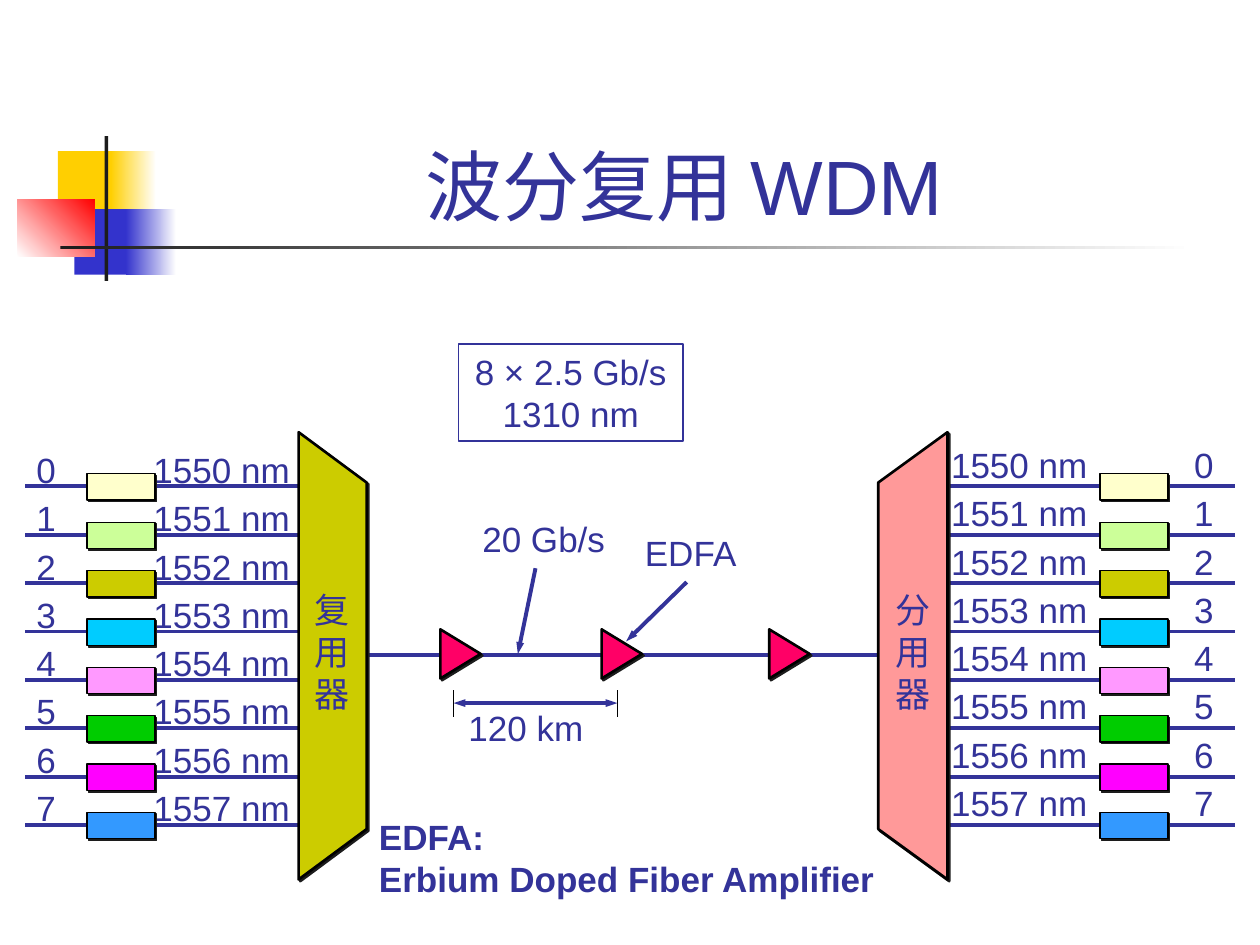
from lxml import etree
from pptx import Presentation
from pptx.dml.color import RGBColor
from pptx.enum import shapes, text
from pptx.oxml.ns import qn
from pptx.util import Inches, Pt


def rgb(value):
    return RGBColor.from_string(value)


def put_text(sp, lines, size=20, font="Arial", color="333399", bold=False,
             align=text.PP_ALIGN.LEFT, anchor=text.MSO_ANCHOR.TOP, spacing=24, tab=None):
    tf = sp.text_frame
    tf.word_wrap = True
    tf.vertical_anchor = anchor
    for i, line in enumerate(lines):
        p = tf.paragraphs[0] if i == 0 else tf.add_paragraph()
        if tab:
            tabs = etree.SubElement(p._p.get_or_add_pPr(), qn("a:tabLst"))
            etree.SubElement(tabs, qn("a:tab"), pos=str(Inches(tab)), algn="l")
        p.alignment = align
        if spacing:
            p.line_spacing = Pt(spacing)
        r = p.add_run()
        r.text = line
        r.font.size = Pt(size)
        r.font.name = font
        r.font.bold = bold
        r.font.color.rgb = rgb(color)


prs = Presentation()
prs.slide_width = Inches(10)
prs.slide_height = Inches(7.5)
s = prs.slides.add_slide(prs.slide_layouts[6])
RECT = shapes.MSO_SHAPE.RECTANGLE
CENTER = text.PP_ALIGN.CENTER

decor = [
    (0.46, 1.2, 0.48, 0.52, ["FFCF01"], 0),
    (0.88, 1.2, 0.36, 0.52, ["FFCF01", "FFFFFF"], 0),
    (0.59, 1.66, 0.46, 0.52, ["3333CC"], 0),
    (1, 1.66, 0.4, 0.52, ["3333CC", "FFFFFF"], 0),
    (0.14, 1.58, 0.61, 0.46, ["FFFFFF", "FF0000"], 45),
    (0.83, 1.08, 0.03, 1.15, ["1C1C1C"], 0),
    (0.48, 1.95, 9, 0.03, ["1C1C1C", "FFFFFF"], 0),
]
for x, y, w, h, colors, angle in decor:
    sp = s.shapes.add_shape(RECT, Inches(x), Inches(y), Inches(w), Inches(h))
    sp.shadow.inherit = False
    sp.line.fill.background()
    if len(colors) == 1:
        sp.fill.solid()
        sp.fill.fore_color.rgb = rgb(colors[0])
    else:
        sp.fill.gradient()
        sp.fill.gradient_angle = angle
        for stop, color in zip(sp.fill.gradient_stops, colors):
            stop.color.rgb = rgb(color)

channels = ["FFFFCC", "CCFF99", "CCCC00", "00CCFF", "FF99FF", "00CC00", "FF00FF", "3399FF"]
pitch = 0.384
labels = [
    (7.45, 3.42, 2.5, 3.17, [f"{1550 + i} nm\t{i}" for i in range(8)], dict(spacing=27.6, tab=1.93)),
    (0.19, 3.46, 2.6, 3.17, [f"{i}\t{1550 + i} nm" for i in range(8)], dict(spacing=27.6, tab=0.93)),
    (1.17, 0.28, 8.52, 1.6, ["波分复用 WDM"],
     dict(size=44, spacing=None, align=CENTER, anchor=text.MSO_ANCHOR.BOTTOM)),
    (3.73, 4.06, 1.3, 0.44, ["20 Gb/s"], {}),
    (5.02, 4.17, 1.1, 0.44, ["EDFA"], {}),
    (3.62, 5.56, 1.3, 0.44, ["120 km"], {}),
    (2.91, 6.42, 4.3, 0.77, ["EDFA:", "Erbium Doped Fiber Amplifier"], dict(bold=True)),
]
for x, y, w, h, lines, style in labels:
    sp = s.shapes.add_textbox(Inches(x), Inches(y), Inches(w), Inches(h))
    put_text(sp, lines, **style)

sp = s.shapes.add_shape(RECT, Inches(3.64), Inches(2.73), Inches(1.78), Inches(0.77))
sp.shadow.inherit = False
sp.fill.background()
sp.line.color.rgb = rgb("333399")
sp.line.width = Pt(0.75)
put_text(sp, ["8 × 2.5 Gb/s", "1310 nm"], align=CENTER)

links = [(x, 3.86 + i * pitch, x + 2.28, 3.86 + i * pitch, "333399", 2.25, [])
         for x in (7.52, 0.2) for i in range(8)]
links += [
    (2.54, 5.2, 7.46, 5.2, "333399", 2.25, []),
    (4.25, 4.51, 4.11, 5.19, "333399", 2.25, ["tailEnd"]),
    (5.45, 4.62, 4.97, 5.09, "333399", 2.25, ["tailEnd"]),
    (3.6, 5.48, 3.6, 5.69, "000000", 0.75, []),
    (4.9, 5.48, 4.9, 5.69, "000000", 0.75, []),
    (3.6, 5.58, 4.9, 5.58, "333399", 2.25, ["headEnd", "tailEnd"]),
]
for x1, y1, x2, y2, color, width, ends in links:
    c = s.shapes.add_connector(shapes.MSO_CONNECTOR.STRAIGHT,
                               Inches(x1), Inches(y1), Inches(x2), Inches(y2))
    c.line.color.rgb = rgb(color)
    c.line.width = Pt(width)
    for end in ends:
        etree.SubElement(c.line._get_or_add_ln(), qn(f"a:{end}"), type="triangle", w="sm", len="med")
    etree.SubElement(c._element.spPr, qn("a:effectLst"))

blocks = []
for x in (0.69, 8.73):
    for i, color in enumerate(channels):
        sp = s.shapes.add_shape(RECT, Inches(x), Inches(3.76 + i * pitch), Inches(0.54), Inches(0.21))
        blocks.append((sp, color, 0.75))

for x in (3.46, 4.74, 6.07):
    sp = s.shapes.add_shape(shapes.MSO_SHAPE.ISOSCELES_TRIANGLE,
                            Inches(x), Inches(5.03), Inches(0.39), Inches(0.32))
    sp.rotation = 90
    blocks.append((sp, "FF0066", 1.5))

for outer, inner, color in ((2.37, 2.91, "CCCC00"), (7.52, 6.97, "FF9999")):
    fb = s.shapes.build_freeform(Inches(outer), Inches(6.98))
    fb.add_line_segments([(Inches(x), Inches(y)) for x, y in
                          ((inner, 6.58), (inner, 3.83), (outer, 3.43))], close=True)
    blocks.append((fb.convert_to_shape(), color, 1.5))

for sp, color, width in blocks:
    sp.fill.solid()
    sp.fill.fore_color.rgb = rgb(color)
    sp.line.color.rgb = rgb("000000")
    sp.line.width = Pt(width)
    sp.shadow.inherit = False
    effects = sp._element.spPr.find(qn("a:effectLst"))
    shadow = etree.SubElement(effects, qn("a:outerShdw"), dist=str(Pt(1.4)),
                              dir="2700000", algn="ctr", rotWithShape="0")
    etree.SubElement(shadow, qn("a:srgbClr"), val="1C1C1C")

for x, first in ((2.4, "复"), (7.01, "分")):
    sp = s.shapes.add_textbox(Inches(x), Inches(4.62), Inches(0.5), Inches(1.1))
    put_text(sp, [first, "用", "器"], font="Times New Roman")

prs.save("out.pptx")
